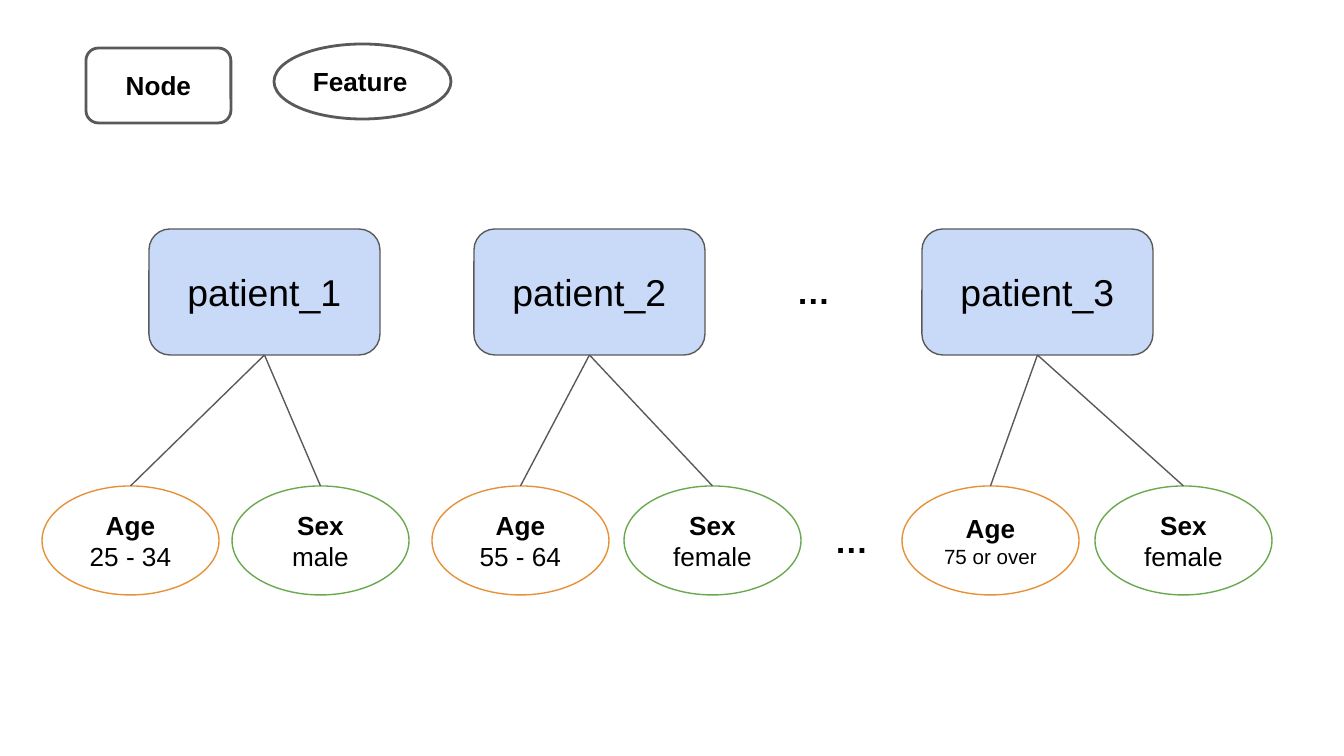
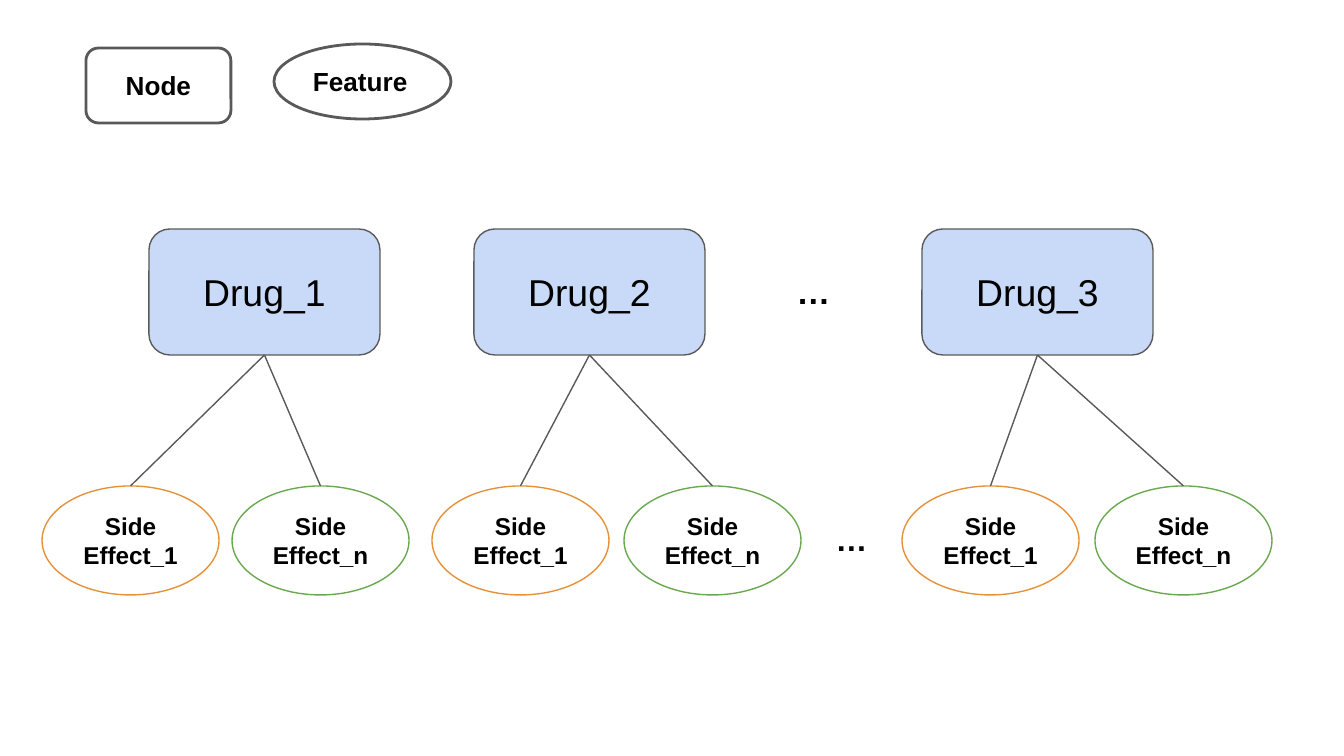
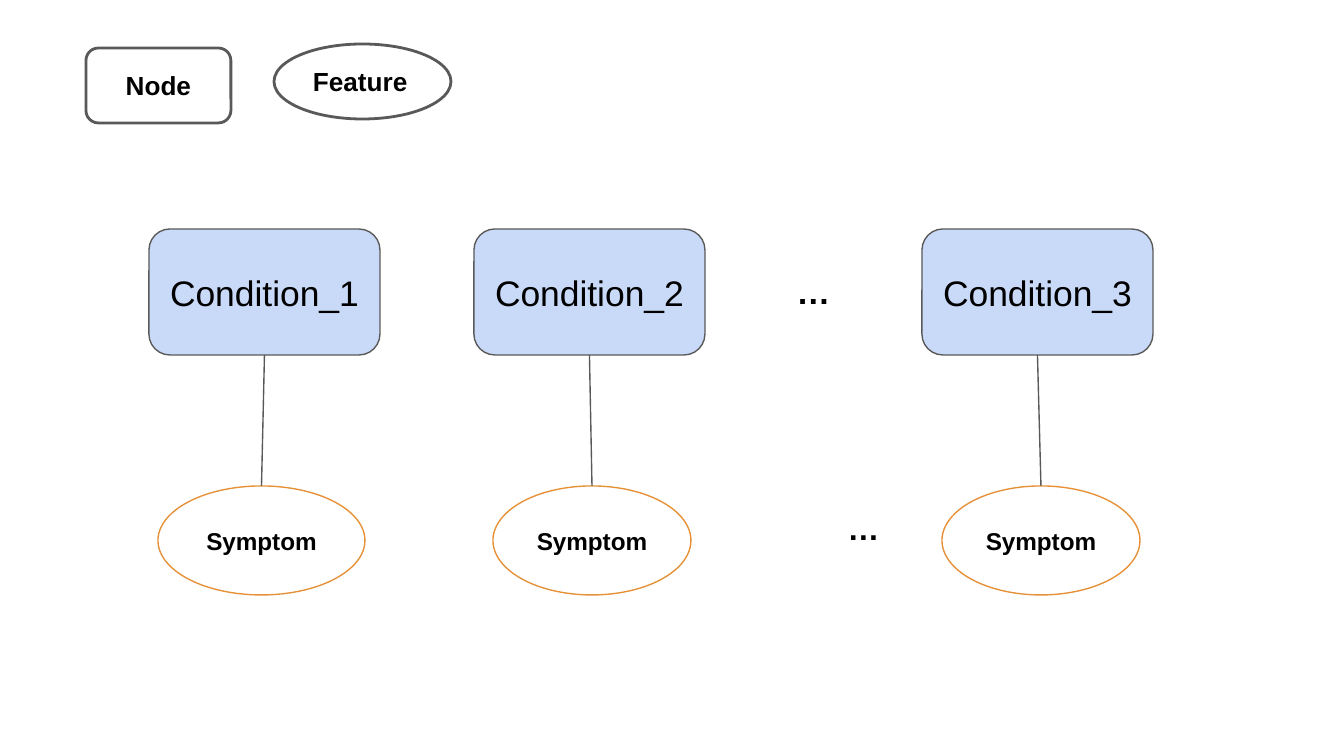
from dataclasses import dataclass
from pptx import Presentation
from pptx.dml.color import RGBColor
from pptx.enum.shapes import MSO_CONNECTOR, MSO_SHAPE
from pptx.enum.text import MSO_ANCHOR, MSO_AUTO_SIZE, PP_ALIGN
from pptx.oxml.ns import qn
from pptx.util import Pt

ROUND, OVAL = MSO_SHAPE.ROUNDED_RECTANGLE, MSO_SHAPE.OVAL
STRAIGHT = MSO_CONNECTOR.STRAIGHT
LEFT, CENTER = PP_ALIGN.LEFT, PP_ALIGN.CENTER
MIDDLE, GROW = MSO_ANCHOR.MIDDLE, MSO_AUTO_SIZE.SHAPE_TO_FIT_TEXT
TOP, BOTTOM = 0, 2


@dataclass(frozen=True)
class Theme:
    font: str = "Arial"
    ink: str = "000000"
    line: str = "595959"
    node: str = "C9DAF8"
    first: str = "E69138"
    last: str = "6AA84F"
    thin: float = 0.75
    thick: float = 1.5
    label: int = 14
    dots: int = 18


THEME = Theme()

NODES = [149, 474, 922]
PAIRS = [[(42, 177), (232, 177)], [(432, 177), (624, 177)], [(902, 177), (1095, 177)]]
SOLO = [[(158, 207)], [(493, 198)], [(942, 198)]]
NODE_TOP, NODE_W, NODE_H = 229, 231, 126
OVAL_TOP, OVAL_H = 486, 109
DOTS_W, DOTS_H, INSET = 103, 67, 13


def bold(size, *lines):
    return [(text, size, True) for text in lines]


def fact(name, value, size=14):
    return [(name, 14, True), (value, size, False)]


EFFECTS = [bold(13, "Side", "Effect_1"), bold(13, "Side", "Effect_n")]

SLIDES = [
    {
        "node": "patient", "size": 20, "ovals": PAIRS,
        "facts": [
            [fact("Age", "25 - 34"), fact("Sex", "male")],
            [fact("Age", "55 - 64"), fact("Sex", "female")],
            [fact("Age", "75 or over", 11), fact("Sex", "female")],
        ],
        "dots": (800, 507, 18),
    },
    {
        "node": "Drug", "size": 20, "ovals": PAIRS,
        "facts": [EFFECTS] * 3,
        "dots": (800, 507, 17),
    },
    {
        "node": "Condition", "size": 19, "ovals": SOLO,
        "facts": [[bold(13, "Symptom")]] * 3,
        "dots": (812, 496, 17),
    },
]

LEGEND = [
    (ROUND, (86, 48, 145, 75), "Node", CENTER),
    (OVAL, (274, 44, 177, 75), "Feature", LEFT),
]


def px(n):
    return round(n * 914400 / 134.4)


def write(shape, lines, align=CENTER):
    frame = shape.text_frame
    frame.word_wrap = True
    frame.margin_left = frame.margin_right = px(INSET)
    frame.margin_top = frame.margin_bottom = px(INSET)
    for i, (text, size, heavy) in enumerate(lines):
        para = frame.add_paragraph() if i else frame.paragraphs[0]
        para.alignment = align
        run = para.add_run()
        run.text = text
        run.font.name = THEME.font
        run.font.size = Pt(size)
        run.font.bold = heavy
        run.font.color.rgb = RGBColor.from_string(THEME.ink)


def stroke(item, color, width):
    item.line.color.rgb = RGBColor.from_string(color)
    item.line.width = Pt(width)


def draw(slide, kind, box, lines, color, width=THEME.thin, fill=None, align=CENTER):
    shape = slide.shapes.add_shape(kind, *map(px, box))
    shape.shadow.inherit = False
    if fill:
        shape.fill.solid()
        shape.fill.fore_color.rgb = RGBColor.from_string(fill)
    else:
        shape.fill.background()
    stroke(shape, color, width)
    write(shape, lines, align)
    shape.text_frame.vertical_anchor = MIDDLE
    return shape


def link(slide, node, oval):
    wire = slide.shapes.add_connector(STRAIGHT, 0, 0, 0, 0)
    wire.begin_connect(node, BOTTOM)
    wire.end_connect(oval, TOP)
    stroke(wire, THEME.line, THEME.thin)
    props = wire._element.spPr
    props.append(props.makeelement(qn("a:effectLst"), {}))


def dots(slide, left, top, size):
    box = slide.shapes.add_textbox(*map(px, (left, top, DOTS_W, DOTS_H)))
    write(box, bold(size, "…"))
    box.text_frame.auto_size = GROW


def build(deck, data):
    slide = deck.slides.add_slide(deck.slide_layouts[6])
    dots(slide, 762, 258, THEME.dots)
    nodes = [
        draw(slide, ROUND, (left, NODE_TOP, NODE_W, NODE_H),
             [(f"{data['node']}_{i}", data["size"], False)], THEME.line, fill=THEME.node)
        for i, left in enumerate(NODES, 1)
    ]
    for node, spots, facts in zip(nodes, data["ovals"], data["facts"]):
        for (left, width), lines, hue in zip(spots, facts, (THEME.first, THEME.last)):
            oval = draw(slide, OVAL, (left, OVAL_TOP, width, OVAL_H), lines, hue)
            link(slide, node, oval)
    dots(slide, *data["dots"])
    for kind, box, text, align in LEGEND:
        draw(slide, kind, box, bold(THEME.label, text), THEME.line, THEME.thick, align=align)


def main():
    deck = Presentation()
    deck.slide_width, deck.slide_height = px(1344), px(756)
    for data in SLIDES:
        build(deck, data)
    deck.save("out.pptx")


if __name__ == "__main__":
    main()
